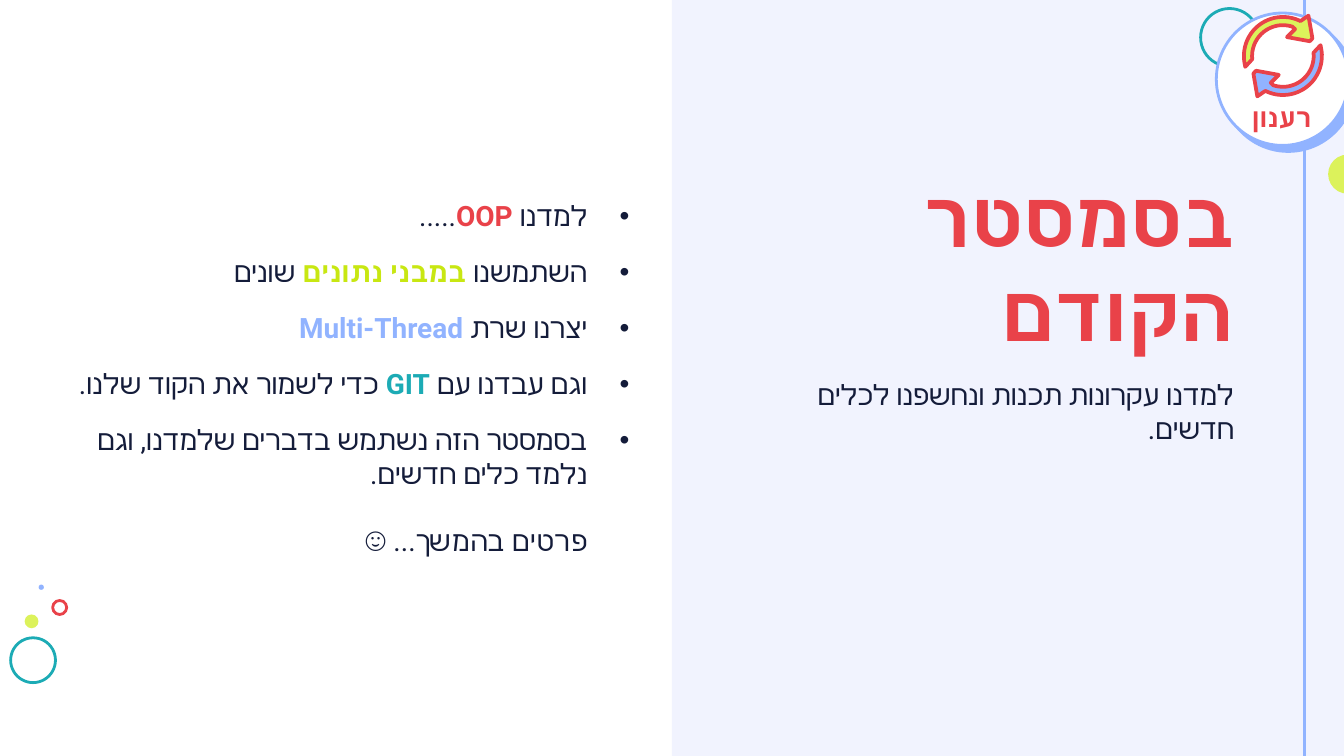
import math
from lxml import etree
from pptx import Presentation
from pptx import util as u
from pptx.dml.color import RGBColor
from pptx.enum import shapes, text
from pptx.oxml import ns

COLORS = {
    "white": "FFFFFF", "panel": "F1F3FE", "navy": "141C3A", "red": "E94249",
    "teal": "1CABB5", "blue": "91B3FF", "lime": "DCF25B", "olive": "C8E712",
}
RIGHT, CENTER = text.PP_ALIGN.RIGHT, text.PP_ALIGN.CENTER
TOP, MIDDLE, BOTTOM = text.MSO_ANCHOR.TOP, text.MSO_ANCHOR.MIDDLE, text.MSO_ANCHOR.BOTTOM


def color(name):
    return RGBColor.from_string(COLORS[name])


def add_node(parent, tag, **attributes):
    return etree.SubElement(parent, ns.qn(tag), **attributes)


class SlideBuilder:
    font_name = "Roboto"
    bullet_font = "Arial"
    line_width = 1.5
    bullet_indent = 22.5

    def __init__(self, slide):
        self.slide = slide

    def style(self, shape, fill=None, line=None, width=line_width):
        shape.shadow.inherit = False
        if fill:
            shape.fill.solid()
            shape.fill.fore_color.rgb = color(fill)
        else:
            shape.fill.background()
        if line:
            shape.line.color.rgb = color(line)
            shape.line.width = u.Pt(width)
        else:
            shape.line.fill.background()
        return shape

    def preset(self, kind, left, top, width, height, fill=None, line=None):
        shape = self.slide.shapes.add_shape(
            kind, u.Pt(left), u.Pt(top), u.Pt(width), u.Pt(height))
        return self.style(shape, fill, line)

    def circle(self, left, top, size, fill=None, line=None):
        return self.preset(shapes.MSO_SHAPE.OVAL, left, top, size, size, fill, line)

    def drop_shadow(self, shape, name, distance, angle):
        effects = shape.element.spPr.find(ns.qn("a:effectLst"))
        shadow = add_node(effects, "a:outerShdw", dist=str(u.Pt(distance)),
                          dir=str(angle * 60000), algn="bl", rotWithShape="0")
        add_node(shadow, "a:srgbClr", val=COLORS[name])

    def line(self, x1, y1, x2, y2, name):
        connector = self.slide.shapes.add_connector(
            shapes.MSO_CONNECTOR.STRAIGHT, u.Pt(x1), u.Pt(y1), u.Pt(x2), u.Pt(y2))
        connector.line.color.rgb = color(name)
        connector.line.width = u.Pt(self.line_width)
        add_node(connector.element.spPr, "a:effectLst")

    def outline(self, points, fill, line, width):
        points = [(u.Pt(x), u.Pt(y)) for x, y in points]
        builder = self.slide.shapes.build_freeform(*points[0], scale=1.0)
        builder.add_line_segments(points[1:], close=True)
        self.style(builder.convert_to_shape(), fill, line, width)

    def text(self, left, top, width, height, paragraphs, size, name="navy", bold=None,
             anchor=TOP, align=RIGHT, spacing=None, bullets=False):
        box = self.slide.shapes.add_textbox(
            u.Pt(left), u.Pt(top), u.Pt(width), u.Pt(height))
        frame = box.text_frame
        frame.word_wrap = True
        frame.vertical_anchor = anchor
        frame.margin_left = frame.margin_right = frame.margin_top = frame.margin_bottom = 0
        for index, runs in enumerate(paragraphs):
            paragraph = frame.add_paragraph() if index else frame.paragraphs[0]
            paragraph.alignment = align
            if spacing:
                paragraph.line_spacing = spacing
            properties = paragraph._p.get_or_add_pPr()
            properties.set("rtl", "1")
            if bullets:
                self.bullet(paragraph, properties)
            font = paragraph.font
            font.name, font.size, font.bold = self.font_name, u.Pt(size), bold
            font.color.rgb = color(name)
            add_node(font._element, "a:cs", typeface=self.font_name)
            for words, accent in runs:
                self.run(paragraph, words, accent)

    def bullet(self, paragraph, properties):
        paragraph.space_after = u.Pt(12)
        properties.set("marL", str(u.Pt(self.bullet_indent)))
        properties.set("indent", str(-u.Pt(self.bullet_indent)))
        bullet_color = add_node(properties, "a:buClr")
        add_node(bullet_color, "a:srgbClr", val=COLORS["navy"])
        add_node(properties, "a:buFont", typeface=self.bullet_font)
        add_node(properties, "a:buChar", char="•")

    def run(self, paragraph, words, accent):
        for index, part in enumerate(words.split("\n")):
            if index:
                paragraph.add_line_break()
            if part:
                run = paragraph.add_run()
                run.text = part
                if accent:
                    run.font.bold = True
                    run.font.color.rgb = color(accent)


def arc(radius, start, end, steps=24):
    angles = [math.radians(start + (end - start) * i / steps) for i in range(steps + 1)]
    return [(radius * math.cos(a), radius * math.sin(a)) for a in angles]


def main():
    presentation = Presentation()
    presentation.slide_width, presentation.slide_height = u.Pt(720), u.Pt(405)
    builder = SlideBuilder(presentation.slides.add_slide(presentation.slide_layouts[6]))

    builder.preset(shapes.MSO_SHAPE.RECTANGLE, 360, 0, 360, 405, "panel")
    builder.circle(643.2, 4.6, 31, line="teal")
    builder.line(699, -6, 699, 408, "blue")
    badge = builder.circle(651.6, 7, 70.9, "white", "blue")
    builder.drop_shadow(badge, "blue", 4.5, 46)
    builder.circle(5.7, 341.7, 24, line="teal")
    builder.circle(711.5, 82.8, 21, "lime")
    builder.circle(13.2, 329.2, 7.4, "lime")
    builder.circle(28.2, 321.7, 7.5, line="red")
    builder.circle(20.7, 313.2, 2.8, "blue")

    builder.text(395.3, 78.5, 266, 113, [[("בסמסטר הקודם", None)]], 42, "red", True, BOTTOM)
    builder.text(395.3, 202.5, 266, 164,
                 [[("למדנו עקרונות תכנות ונחשפנו לכלים חדשים.", None)]], 15)
    builder.text(36, 42.5, 301.2, 320, [
        [("למדנו ", None), ("OOP", "red"), (".....", None)],
        [("השתמשנו ", None), ("במבני נתונים ", "olive"), ("שונים", None)],
        [("יצרנו שרת ", None), ("Multi-Thread", "blue")],
        [("וגם עבדנו עם ", None), ("GIT", "teal"), (" כדי לשמור את הקוד שלנו.", None)],
        [("בסמסטר הזה נשתמש בדברים שלמדנו, וגם נלמד כלים חדשים. \n\nפרטים בהמשך... ☺", None)],
    ], 15, anchor=MIDDLE, bullets=True)
    builder.text(658, 47.5, 57, 23.5, [[("רענון", None)]], 14, "red", True,
                 BOTTOM, CENTER, spacing=0.8)

    head = [(9.4, -18.7), (13.7, -21.6), (15.8, -9.4), (14.4, -7.9), (2.2, -10.1), (6.5, -14.4)]
    arrow = arc(20.9, 167, 295) + head + arc(16.5, 288, 174) + [(-20.2, 5.8)]
    for direction, fill in ((1, "lime"), (-1, "blue")):
        points = [(687.3 + direction * x, 30 + direction * y) for x, y in arrow]
        builder.outline(points, fill, "red", 2)

    presentation.save("out.pptx")


if __name__ == "__main__":
    main()
